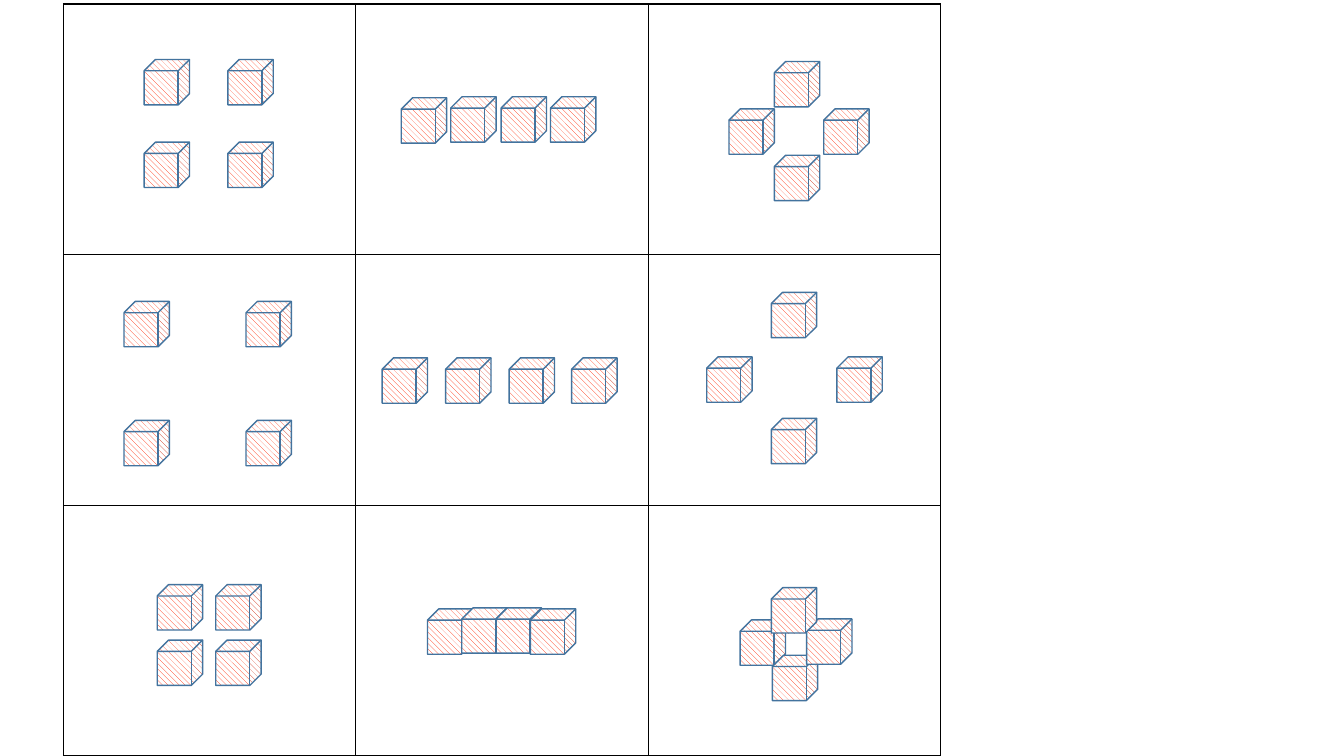
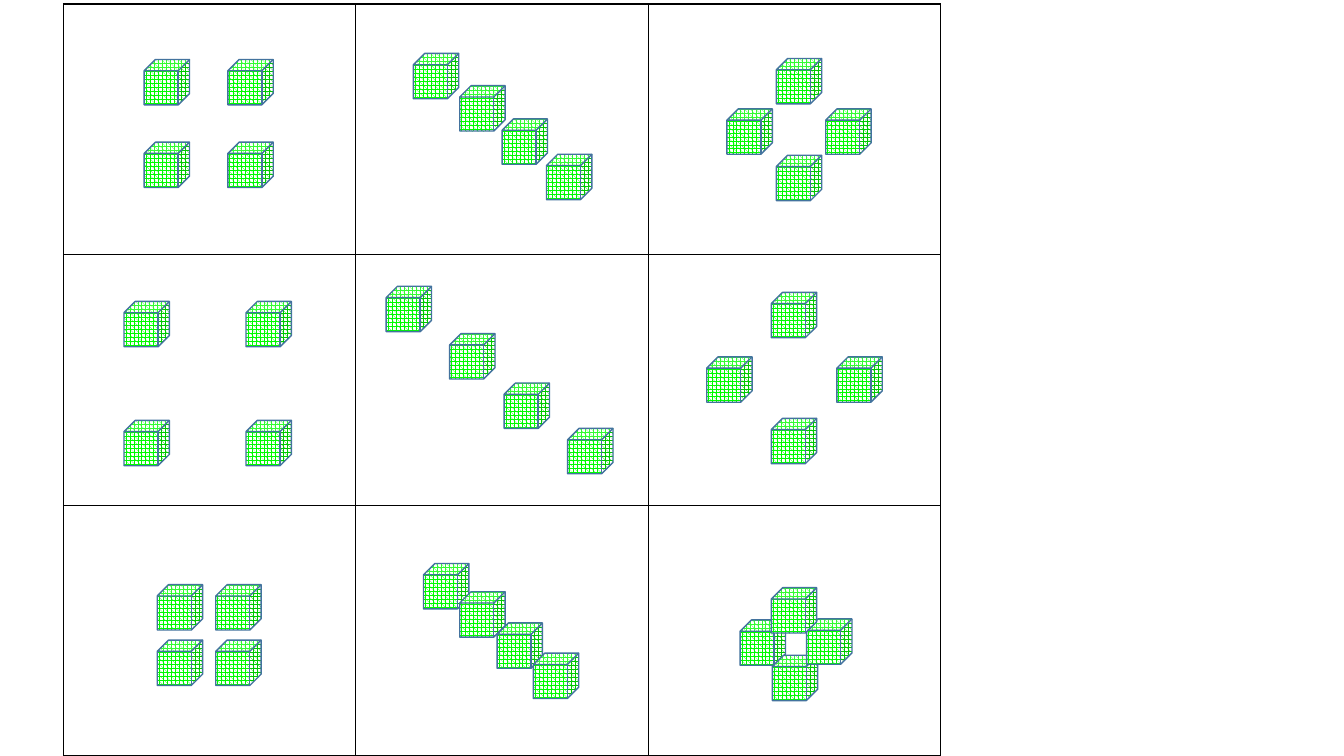
"""Build two slides of a three-by-three grid holding groups of four patterned cubes."""
from dataclasses import dataclass
from itertools import product

from lxml.etree import SubElement
from pptx import Presentation
from pptx.dml.color import RGBColor
from pptx.enum.dml import MSO_PATTERN as Pattern
from pptx.enum.shapes import MSO_SHAPE as Shape
from pptx.oxml.ns import qn
from pptx.util import Inches, Pt


def square(left, top, across, down):
    return [(left + column * across, top + row * down)
            for row, column in product(range(2), repeat=2)]


SQUARES = [
    square(1.43, 0.59, 0.83, 0.82),
    square(1.23, 2.99, 1.21, 1.18),
    square(1.56, 5.80, 0.58, 0.55),
]
ROWS = [
    [(3.98, 0.97), (4.47, 0.96), (4.97, 0.96), (5.46, 0.96)],
    [(3.79, 3.55), (4.42, 3.55), (5.05, 3.55), (5.67, 3.55)],
    [(4.24, 6.04), (4.58, 6.03), (4.92, 6.03), (5.26, 6.04)],
]
STAIRCASES = [
    [(4.10, 0.53), (4.56, 0.85), (4.98, 1.18), (5.42, 1.53)],
    [(3.83, 2.84), (4.46, 3.31), (5.00, 3.80), (5.63, 4.25)],
    [(4.20, 5.59), (4.56, 5.87), (4.93, 6.18), (5.29, 6.48)],
]
RED_TOP_DIAMOND = [(7.23, 1.08), (7.68, 0.61), (7.68, 1.54), (8.17, 1.08)]
GREEN_TOP_DIAMOND = [(7.21, 1.08), (7.70, 0.58), (7.70, 1.54), (8.19, 1.08)]
LOWER_DIAMONDS = [
    [(7.01, 3.54), (7.65, 2.90), (7.65, 4.15), (8.30, 3.54)],
    [(7.34, 6.15), (7.66, 6.50), (8.00, 6.14), (7.65, 5.83)],
]
SLIDES = [
    ("FF2600", Pattern.WIDE_DOWNWARD_DIAGONAL,
     [*SQUARES, *ROWS, RED_TOP_DIAMOND, *LOWER_DIAMONDS]),
    ("00FA00", Pattern.SPHERE,
     [*SQUARES, *STAIRCASES, GREEN_TOP_DIAMOND, *LOWER_DIAMONDS]),
]
GRID_BOX = (0.63, 0.04, 8.7, 7.46)
GRID_SIZE = 3
CUBE_SIZE = 0.45


@dataclass(frozen=True)
class Theme:
    font: str = "Calibri"
    text_size: int = 18
    paper: str = "FFFFFF"
    grid_line: str = "000000"
    cube_line: str = "43739E"
    line_width: int = 1


THEME = Theme()


def color(value):
    return RGBColor.from_string(value)


def add_borders(cell):
    properties = cell._tc.get_or_add_tcPr()
    for position, side in enumerate(("a:lnL", "a:lnR", "a:lnT", "a:lnB")):
        line = SubElement(properties, qn(side), w=str(Pt(THEME.line_width)))
        fill = SubElement(line, qn("a:solidFill"))
        SubElement(fill, qn("a:srgbClr"), val=THEME.grid_line)
        properties.insert(position, line)


def add_grid(slide):
    table = slide.shapes.add_table(GRID_SIZE, GRID_SIZE, *map(Inches, GRID_BOX)).table
    table.first_row = False
    table.horz_banding = False
    for cell in table.iter_cells():
        cell.fill.background()
        add_borders(cell)
        font = cell.text_frame.paragraphs[0].font
        font.name = THEME.font
        font.size = Pt(THEME.text_size)


def add_cube(slide, left, top, pattern, pattern_color):
    cube = slide.shapes.add_shape(
        Shape.CUBE, Inches(left), Inches(top), Inches(CUBE_SIZE), Inches(CUBE_SIZE))
    cube.shadow.inherit = False
    cube.fill.patterned()
    cube.fill.pattern = pattern
    cube.fill.fore_color.rgb = color(pattern_color)
    cube.fill.back_color.rgb = color(THEME.paper)
    cube.line.color.rgb = color(THEME.cube_line)
    cube.line.width = Pt(THEME.line_width)


presentation = Presentation()
presentation.slide_width = Inches(13.33)
presentation.slide_height = Inches(7.5)
blank_layout = presentation.slide_layouts.get_by_name("Blank")

for pattern_color, pattern, groups in SLIDES:
    slide = presentation.slides.add_slide(blank_layout)
    add_grid(slide)
    for group in groups:
        for left, top in group:
            add_cube(slide, left, top, pattern, pattern_color)

presentation.save("out.pptx")
